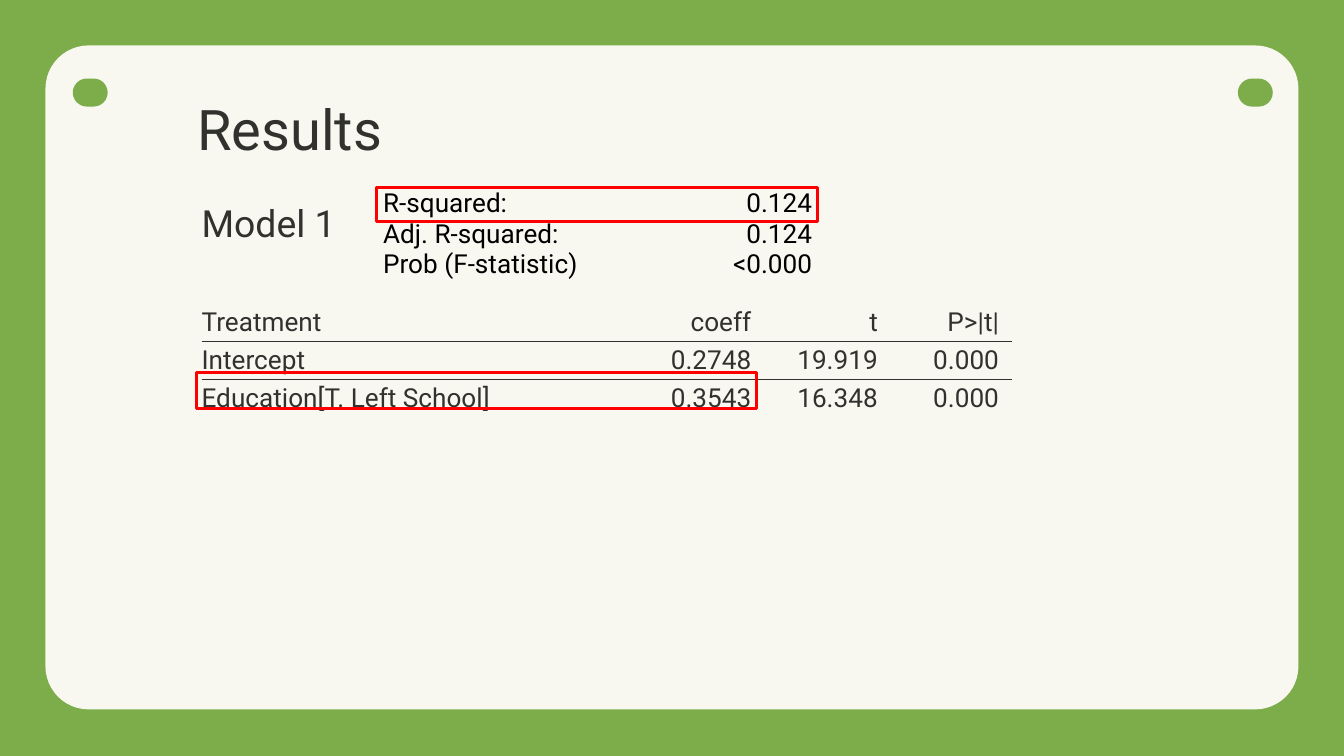
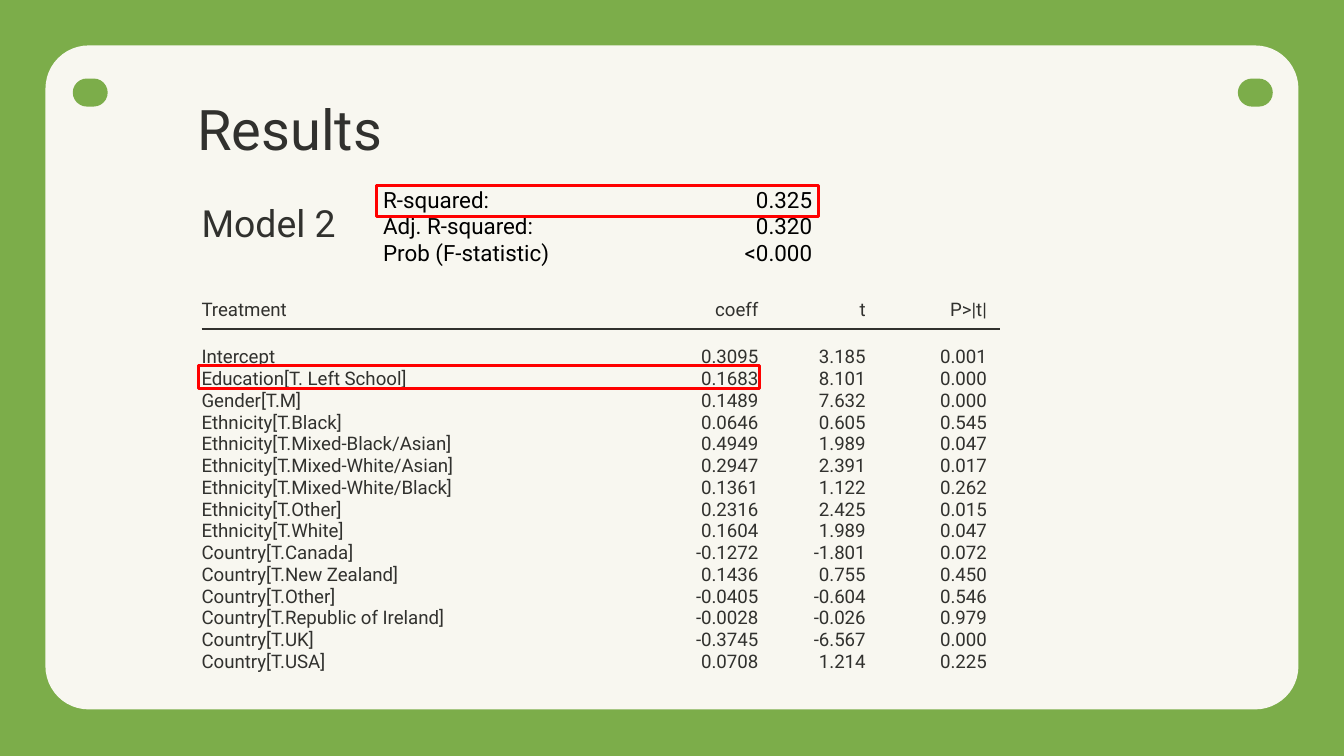
from dataclasses import dataclass

from lxml import etree
from pptx import Presentation
from pptx.dml.color import RGBColor
from pptx.enum import shapes, text
from pptx.oxml import ns
from pptx.util import Cm, Pt


@dataclass(frozen=True)
class Theme:
    green: str = "7CAD4A"
    paper: str = "F8F7F0"
    ink: str = "31312E"
    black: str = "000000"
    red: str = "FF0000"
    font: str = "Roboto"
    title: int = 30
    model: int = 20
    rule: float = 0.75
    frame: float = 1.5
    pad: float = 0.25


T = Theme()
PLAIN = "{2D5ABB26-0587-4C30-8999-92F81FD0307C}"
HEAD = ["Treatment", "coeff", "t", "P>|t|"]
STATS = "R-squared:\nAdj. R-squared:\nProb (F-statistic)"

FIRST = [
    ["Intercept", "0.2748", "19.919", "0.000"],
    ["Education[T. Left School]", "0.3543", "16.348", "0.000"],
]
SECOND = [
    ["Intercept", "0.3095", "3.185", "0.001"],
    ["Education[T. Left School]", "0.1683", "8.101", "0.000"],
    ["Gender[T.M]", "0.1489", "7.632", "0.000"],
    ["Ethnicity[T.Black]", "0.0646", "0.605", "0.545"],
    ["Ethnicity[T.Mixed-Black/Asian]", "0.4949", "1.989", "0.047"],
    ["Ethnicity[T.Mixed-White/Asian]", "0.2947", "2.391", "0.017"],
    ["Ethnicity[T.Mixed-White/Black]", "0.1361", "1.122", "0.262"],
    ["Ethnicity[T.Other]", "0.2316", "2.425", "0.015"],
    ["Ethnicity[T.White]", "0.1604", "1.989", "0.047"],
    ["Country[T.Canada]", "-0.1272", "-1.801", "0.072"],
    ["Country[T.New Zealand]", "0.1436", "0.755", "0.450"],
    ["Country[T.Other]", "-0.0405", "-0.604", "0.546"],
    ["Country[T.Republic of Ireland]", "-0.0028", "-0.026", "0.979"],
    ["Country[T.UK]", "-0.3745", "-6.567", "0.000"],
    ["Country[T.USA]", "0.0708", "1.214", "0.225"],
]


def rgb(code):
    return RGBColor.from_string(code)


# Text
def write(frame, words, size, color, right=False):
    frame.text = words
    for para in frame.paragraphs:
        para.alignment = text.PP_ALIGN.RIGHT if right else text.PP_ALIGN.LEFT
        for run in para.runs:
            run.font.name = T.font
            run.font.size = Pt(size)
            run.font.color.rgb = rgb(color)


def label(slide, words, box, size, side):
    frame = slide.shapes.add_textbox(*map(Cm, box)).text_frame
    frame.word_wrap = True
    frame.vertical_anchor = text.MSO_ANCHOR.MIDDLE
    frame.margin_left = frame.margin_right = Cm(side)
    frame.margin_top = frame.margin_bottom = Cm(T.pad)
    write(frame, words, size, T.ink)


# Shapes
def block(slide, box, fill, round_, turn=0):
    shape = slide.shapes.add_shape(
        shapes.MSO_SHAPE.ROUNDED_RECTANGLE, *map(Cm, box))
    shape.adjustments[0] = round_
    shape.rotation = turn
    shape.shadow.inherit = False
    shape.fill.solid()
    shape.fill.fore_color.rgb = rgb(fill)
    shape.line.fill.background()


def mark(slide, box):
    shape = slide.shapes.add_shape(shapes.MSO_SHAPE.RECTANGLE, *map(Cm, box))
    shape.shadow.inherit = False
    shape.fill.background()
    shape.line.color.rgb = rgb(T.red)
    shape.line.width = Pt(T.frame)


# Tables
def grid(slide, left, top, cols, rows):
    part = slide.shapes.add_table(len(rows), len(cols), Cm(left), Cm(top),
                                  Cm(sum(cols)), Cm(sum(rows)))
    table = part.table
    table.first_row = table.horz_banding = False
    table._tbl.tblPr.find(ns.qn("a:tableStyleId")).text = PLAIN
    for col, width in zip(table.columns, cols):
        col.width = Cm(width)
    for row, height in zip(table.rows, rows):
        row.height = Cm(height)
    return table


def cell(spot, words, size, color, right, side, edge):
    spot.margin_left = spot.margin_right = Cm(side)
    spot.margin_top = spot.margin_bottom = Cm(edge)
    spot.fill.background()
    if words:
        write(spot.text_frame, words, size, color, right)
    else:
        end = spot.text_frame.paragraphs[0]._p.get_or_add_endParaRPr()
        end.set("sz", str(size * 100))


def rule(spot, tag):
    props = spot._tc.get_or_add_tcPr()
    line = etree.Element(ns.qn(tag), w=str(Pt(T.rule)))
    fill = etree.SubElement(line, ns.qn("a:solidFill"))
    etree.SubElement(fill, ns.qn("a:srgbClr"), val=T.ink)
    props.insert(0, line)


def effects(slide, top, cols, rows, body, size):
    table = grid(slide, 3.81, top, cols, rows)
    lines = [HEAD] + body
    for r in range(len(rows)):
        for c in range(len(cols)):
            spot = table.cell(r, c)
            full = r < len(lines) and c < len(HEAD)
            words = lines[r][c] if full else ""
            cell(spot, words, size, T.ink, c > 0, T.pad if c else 0, 0)
            spot.vertical_anchor = text.MSO_ANCHOR.MIDDLE
            if full and r < 2:
                rule(spot, "a:lnT" if r else "a:lnB")


def summary(slide, values, size):
    table = grid(slide, 6.99, 3.3, [6.1, 2.51], [2.87])
    for c, words in enumerate([STATS, values]):
        cell(table.cell(0, c), words, size, T.black, c > 0, T.pad, T.pad)


# Shared slide
def page(deck, model):
    slide = deck.slides.add_slide(deck.slide_layouts[6])
    slide.background.fill.solid()
    slide.background.fill.fore_color.rgb = rgb(T.green)
    block(slide, (0.86, 0.86, 23.68, 12.55), T.paper, 0.065)
    for left, turn in ((1.44, 90), (23.46, 270)):
        block(slide, (left, 1.42, 0.53, 0.66), T.green, 0.5, turn)
    label(slide, "Results", (3.48, 1.75, 10.31, 1.35), T.title, T.pad)
    label(slide, model, (3.81, 3.71, 5.69, 0.99), T.model, 0)
    return slide


def main():
    deck = Presentation()
    deck.slide_width, deck.slide_height = Cm(25.4), Cm(14.29)

    # Model 1: one table row per effect, last row empty
    slide = page(deck, "Model 1")
    effects(slide, 5.74, [8.23, 2.41, 2.39, 2.29, 3.1, 1.04], [0.72] * 4,
            FIRST, 14)
    summary(slide, "0.124\n0.124\n<0.000", 14)
    mark(slide, (7.11, 3.54, 8.34, 0.65))
    mark(slide, (3.71, 7.04, 10.59, 0.68))

    # Model 2: all effects stacked in one tall row
    slide = page(deck, "Model 2")
    stack = ["\n".join(col) for col in zip(*SECOND)]
    effects(slide, 5.51, [8.31, 2.46, 2.03, 2.29, 3.53, 1.07], [0.71, 6.83],
            [stack], 10)
    summary(slide, "0.325\n0.320\n<0.000", 12)
    mark(slide, (7.11, 3.51, 8.36, 0.58))
    mark(slide, (3.76, 6.91, 10.59, 0.43))

    deck.save("out.pptx")


if __name__ == "__main__":
    main()
